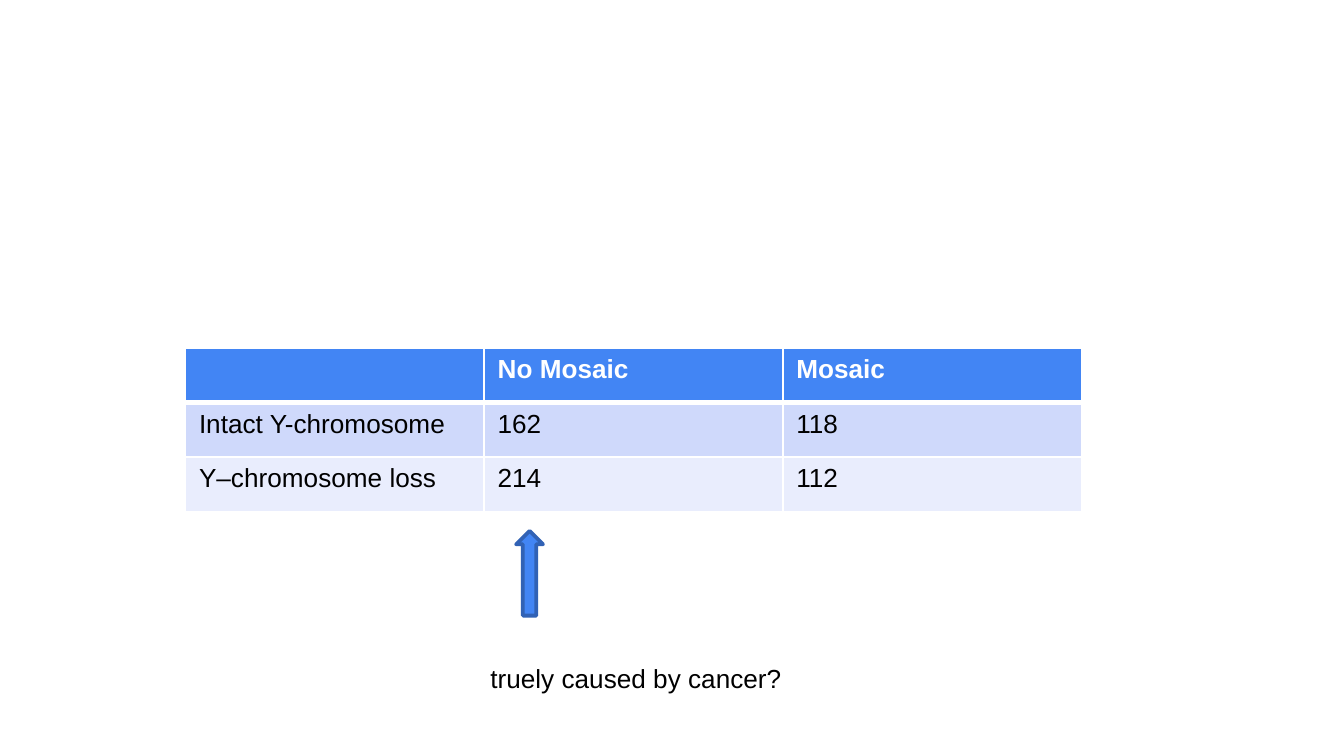
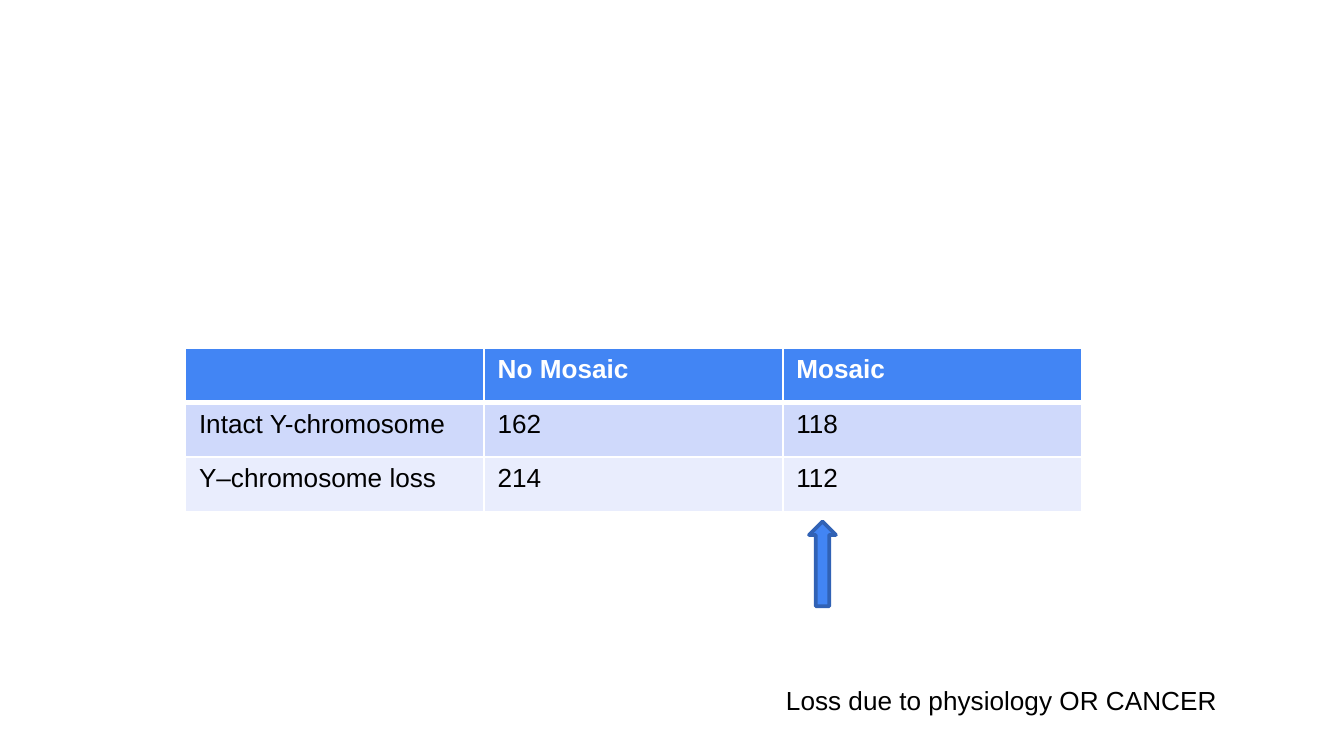
from dataclasses import dataclass

import lxml.etree
import pptx
import pptx.dml.color
import pptx.enum.shapes
import pptx.enum.text
import pptx.oxml.ns
import pptx.util
from pptx.util import Pt


@dataclass(frozen=True)
class Theme:
    font: str = "Arial"
    text_size: float = 14
    white: str = "FFFFFF"
    black: str = "000000"
    blue: str = "4285F4"
    dark_blue: str = "3162B5"
    row_fills: tuple[str, ...] = ("4285F4", "CFD9FB", "E9EDFD")
    thin_border: float = 1
    header_border: float = 3
    arrow_outline: float = 2


@dataclass(frozen=True)
class Box:
    left: float
    top: float
    width: float
    height: float

    def lengths(self) -> tuple[pptx.util.Length, ...]:
        return Pt(self.left), Pt(self.top), Pt(self.width), Pt(self.height)


@dataclass(frozen=True)
class Question:
    """A remark on one table column, with the arrow that points at it."""
    arrow: Box
    text_box: Box
    text: str


THEME = Theme()
TABLE_BOX = Box(99.4, 186.5, 480, 87.6)
COUNTS = (
    ("", "No Mosaic", "Mosaic"),
    ("Intact Y-chromosome", "162", "118"),
    ("Y–chromosome loss", "214", "112"),
)
QUESTIONS = (
    Question(Box(276.5, 284.4, 14.4, 45.4), Box(255.6, 351.4, 171.4, 24.5),
             "truely caused by cancer?"),
    Question(Box(433.4, 279.4, 14.4, 45.4), Box(414, 362.9, 247, 24.5),
             "Loss due to physiology OR CANCER"),
)


def rgb(value: str) -> pptx.dml.color.RGBColor:
    return pptx.dml.color.RGBColor.from_string(value)


def write_text(text_frame, text: str, color: str, bold: bool = False) -> None:
    paragraph = text_frame.paragraphs[0]
    if not text:
        return
    font = paragraph.add_run().font
    paragraph.runs[0].text = text
    formats = {"name": THEME.font, "size": Pt(THEME.text_size), "bold": bold}
    for name, value in formats.items():
        setattr(font, name, value)
    font.color.rgb = rgb(color)


def set_borders(cell, widths: dict[str, float]) -> None:
    """Add white borders; they must precede the fill of the cell."""
    properties = cell._tc.get_or_add_tcPr()
    qn = pptx.oxml.ns.qn
    for position, (side, width) in enumerate(widths.items()):
        line = lxml.etree.Element(qn(f"a:ln{side}"), w=str(Pt(width)))
        fill = lxml.etree.SubElement(line, qn("a:solidFill"))
        lxml.etree.SubElement(fill, qn("a:srgbClr"), val=THEME.white)
        properties.insert(position, line)


def add_counts_table(slide) -> None:
    table = slide.shapes.add_table(len(COUNTS), len(COUNTS[0]), *TABLE_BOX.lengths()).table
    for column in table.columns:
        column.width = Pt(TABLE_BOX.width / len(COUNTS[0]))
    for row_index, (values, fill) in enumerate(zip(COUNTS, THEME.row_fills)):
        table.rows[row_index].height = Pt(TABLE_BOX.height / len(COUNTS))
        is_header = row_index == 0
        borders = dict.fromkeys("LRTB", THEME.thin_border)
        if is_header:
            borders["B"] = THEME.header_border
        elif row_index == 1:
            borders["T"] = THEME.header_border
        for column_index, value in enumerate(values):
            cell = table.cell(row_index, column_index)
            cell.fill.solid()
            cell.fill.fore_color.rgb = rgb(fill)
            set_borders(cell, borders)
            write_text(cell.text_frame, value,
                       THEME.white if is_header else THEME.black, is_header)


def add_up_arrow(slide, box: Box) -> None:
    arrow = slide.shapes.add_shape(
        pptx.enum.shapes.MSO_SHAPE.DOWN_ARROW, *box.lengths())
    arrow.rotation = 180
    arrow.shadow.inherit = False
    arrow.fill.solid()
    arrow.fill.fore_color.rgb = rgb(THEME.blue)
    arrow.line.color.rgb = rgb(THEME.dark_blue)
    arrow.line.width = Pt(THEME.arrow_outline)


def add_question_text(slide, question: Question) -> None:
    text_frame = slide.shapes.add_textbox(*question.text_box.lengths()).text_frame
    text_frame.word_wrap = False
    text_frame.auto_size = pptx.enum.text.MSO_AUTO_SIZE.SHAPE_TO_FIT_TEXT
    write_text(text_frame, question.text, THEME.black)


def main() -> None:
    presentation = pptx.Presentation()
    presentation.slide_width, presentation.slide_height = Pt(720), Pt(405)
    for question in QUESTIONS:
        slide = presentation.slides.add_slide(presentation.slide_layouts[6])
        add_counts_table(slide)
        add_up_arrow(slide, question.arrow)
        add_question_text(slide, question)
    presentation.save("out.pptx")


if __name__ == "__main__":
    main()
